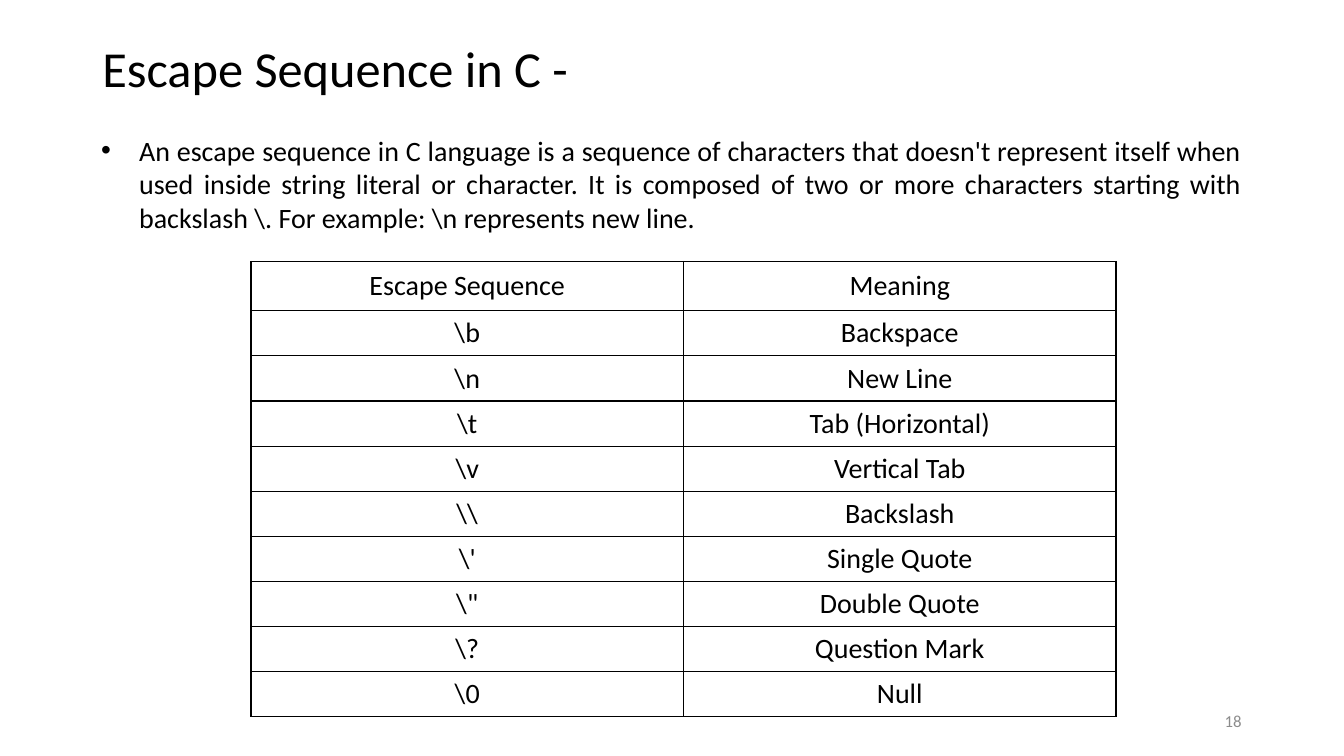
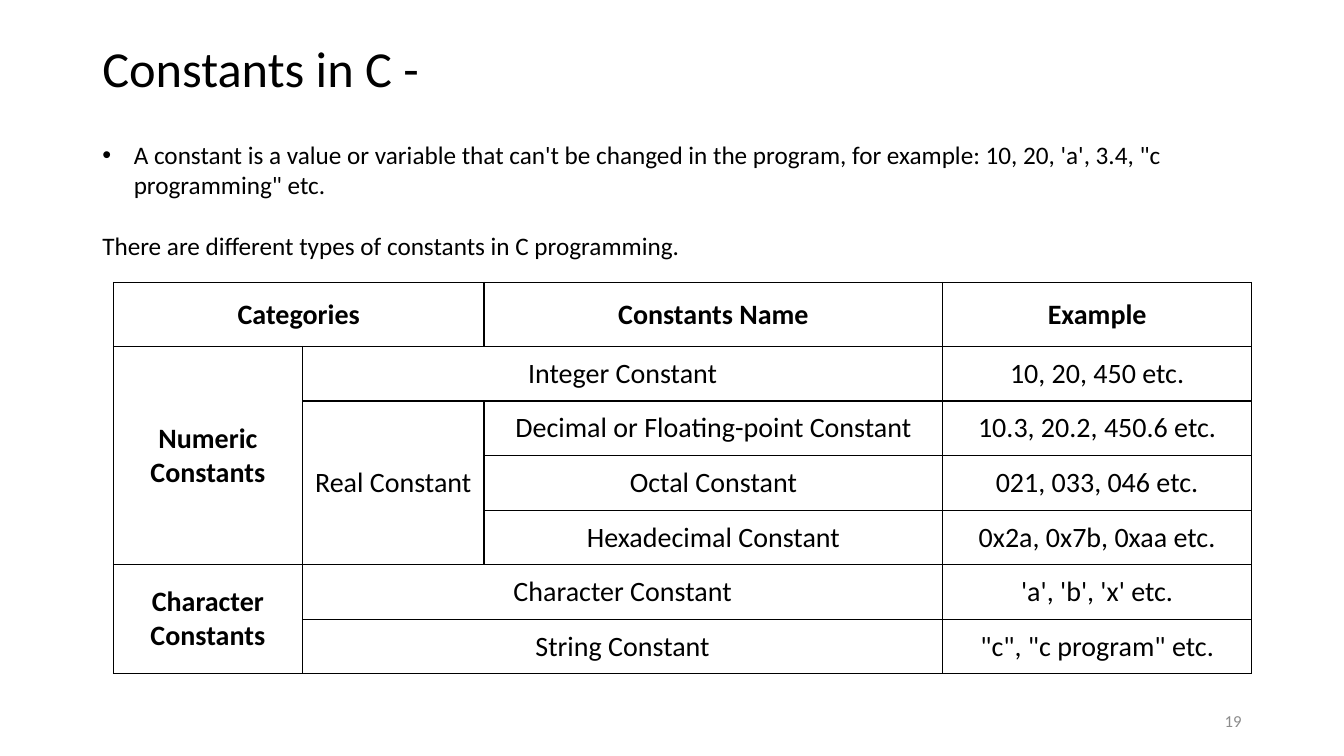
from pptx import Presentation
from pptx.dml.color import RGBColor
from pptx.enum.text import MSO_VERTICAL_ANCHOR as Anchor, PP_PARAGRAPH_ALIGNMENT as Align
from pptx.oxml.ns import qn
from pptx.util import Pt
from lxml.etree import SubElement

EMU_PER_PX = 9525
SLIDE_WIDTH, SLIDE_HEIGHT = 1280, 720
FONT = "Calibri"
COLORS = {"ink": "000000", "number": "8C8C8C"}


def px(length):
    return length * EMU_PER_PX


class Deck:
    """Holds the presentation, its style and the current slide."""

    def __init__(self):
        self.deck = Presentation()
        self.deck.slide_width = px(SLIDE_WIDTH)
        self.deck.slide_height = px(SLIDE_HEIGHT)
        self.page = None

    def add_page(self, title, number):
        self.page = self.deck.slides.add_slide(self.deck.slide_layouts[6])
        title_frame = self.text_box(88, 38, 1104, 59, Anchor.MIDDLE)
        self.add_text(title_frame.paragraphs[0], title, 36, line_spacing=0.9)
        number_frame = self.text_box(904, 667, 288, 38, Anchor.MIDDLE)
        self.add_text(number_frame.paragraphs[0], str(number), 12, "number",
                      alignment=Align.RIGHT)

    def text_box(self, left, top, width, height, anchor=Anchor.TOP):
        box = self.page.shapes.add_textbox(px(left), px(top), px(width), px(height))
        frame = box.text_frame
        frame.word_wrap = True
        frame.vertical_anchor = anchor
        return frame

    def add_text(self, para, text, size, color="ink", bold=False, **layout):
        """Fills a paragraph; layout holds paragraph attributes."""
        for name, value in layout.items():
            setattr(para, name, value)
        span = para.add_run()
        span.text = text
        for name, value in {"name": FONT, "size": Pt(size), "bold": bold}.items():
            setattr(span.font, name, value)
        span.font.color.rgb = RGBColor.from_string(COLORS[color])

    def bullet(self, para, indent):
        """Gives a paragraph a round bullet with a hanging indent."""
        properties = para._p.get_or_add_pPr()
        properties.set("marL", str(px(indent)))
        properties.set("indent", str(-px(indent)))
        SubElement(properties, qn("a:buFont"), typeface="Arial")
        SubElement(properties, qn("a:buChar"), char="•")

    def table(self, left, top, columns, row_heights, rows, insets,
              merges=(), bold_cells=()):
        """Draws a ruled table; insets are for the header and the other rows."""
        frame = self.page.shapes.add_table(
            len(rows), len(columns), px(left), px(top),
            px(sum(columns)), px(sum(row_heights)))
        table = frame.table
        table.first_row = table.horz_banding = False
        for column, width in zip(table.columns, columns):
            column.width = px(width)
        for row, height in zip(table.rows, row_heights):
            row.height = px(height)
        for first, last in merges:
            table.cell(*first).merge(table.cell(*last))
        for r, texts in enumerate(rows):
            inset = px(insets[0] if r == 0 else insets[1])
            for c, text in enumerate(texts):
                cell = table.cell(r, c)
                for side in ("left", "right", "top", "bottom"):
                    setattr(cell, f"margin_{side}", inset)
                cell.vertical_anchor = Anchor.MIDDLE
                self.rule(cell)
                cell.fill.background()
                if text:
                    self.add_text(cell.text_frame.paragraphs[0], text, 20,
                                  bold=(r, c) in bold_cells, alignment=Align.CENTER)

    def rule(self, cell):
        """Puts a thin line on each side of a cell."""
        properties = cell._tc.get_or_add_tcPr()
        for side in ("lnL", "lnR", "lnT", "lnB"):
            line = SubElement(properties, qn(f"a:{side}"), w=str(Pt(1)))
            fill = SubElement(line, qn("a:solidFill"))
            SubElement(fill, qn("a:srgbClr"), val=COLORS["ink"])


def escape_sequences(deck):
    deck.add_page("Escape Sequence in C -", 18)
    para = deck.text_box(87, 122, 1105, 201).paragraphs[0]
    deck.bullet(para, 36)
    deck.add_text(
        para,
        "An escape sequence in C language is a sequence of characters that doesn't "
        "represent itself when used inside string literal or character. It is composed "
        r"of two or more characters starting with backslash \. For example: \n "
        "represents new line.",
        20, alignment=Align.JUSTIFY)
    rows = [
        ("Escape Sequence", "Meaning"),
        (r"\b", "Backspace"),
        (r"\n", "New Line"),
        (r"\t", "Tab (Horizontal)"),
        (r"\v", "Vertical Tab"),
        (r"\\", "Backslash"),
        (r"\'", "Single Quote"),
        (r'\"', "Double Quote"),
        (r"\?", "Question Mark"),
        (r"\0", "Null"),
    ]
    deck.table(239, 249, [412] * 2, [47] + [43] * 9, rows, insets=(7, 5))


def constants(deck):
    deck.add_page("Constants in C -", 19)
    frame = deck.text_box(88, 128, 1104, 184)
    definition = frame.paragraphs[0]
    deck.bullet(definition, 30)
    deck.add_text(
        definition,
        "A constant is a value or variable that can't be changed in the program, "
        "for example: 10, 20, 'a', 3.4, \"c programming\" etc.", 18)
    deck.add_text(frame.add_paragraph(),
                  "There are different types of constants in C programming.", 18,
                  space_before=Pt(22))
    rows = [
        ("Categories", None, "Constants Name", "Example"),
        ("Numeric Constants", "Integer Constant", None, "10, 20, 450 etc."),
        (None, "Real Constant", "Decimal or Floating-point Constant",
         "10.3, 20.2, 450.6 etc."),
        (None, None, "Octal Constant", "021, 033, 046 etc."),
        (None, None, "Hexadecimal Constant", "0x2a, 0x7b, 0xaa etc."),
        ("Character Constants", "Character Constant", None, "'a', 'b', 'x' etc."),
        (None, "String Constant", None, '"c", "c program" etc.'),
    ]
    merges = [
        ((0, 0), (0, 1)),
        ((1, 0), (4, 0)),
        ((1, 1), (1, 2)),
        ((2, 1), (4, 1)),
        ((5, 0), (6, 0)),
        ((5, 1), (5, 2)),
        ((6, 1), (6, 2)),
    ]
    deck.table(108, 269, [180, 173, 437, 294], [61] + [52] * 6, rows, insets=(12, 8),
               merges=merges, bold_cells={(0, 0), (0, 2), (0, 3), (1, 0), (5, 0)})


def main():
    deck = Deck()
    escape_sequences(deck)
    constants(deck)
    deck.deck.save("out.pptx")


if __name__ == "__main__":
    main()
